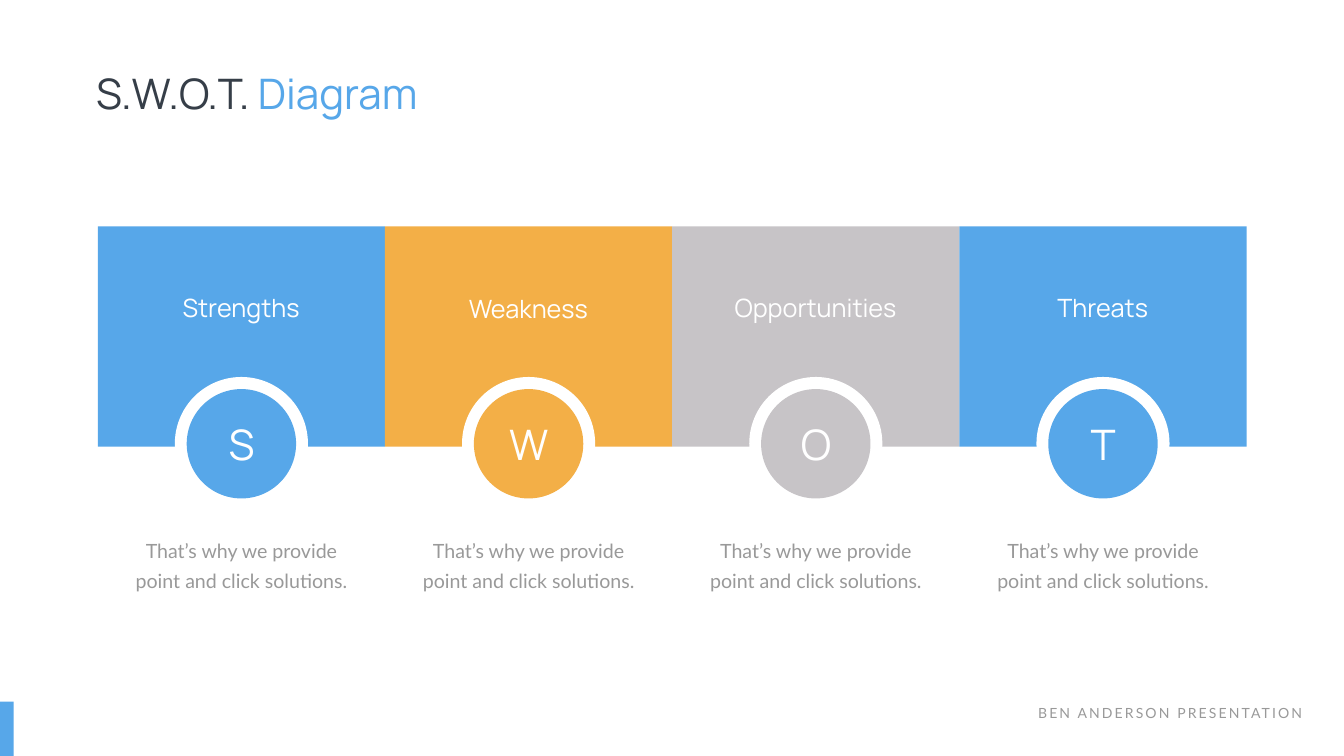
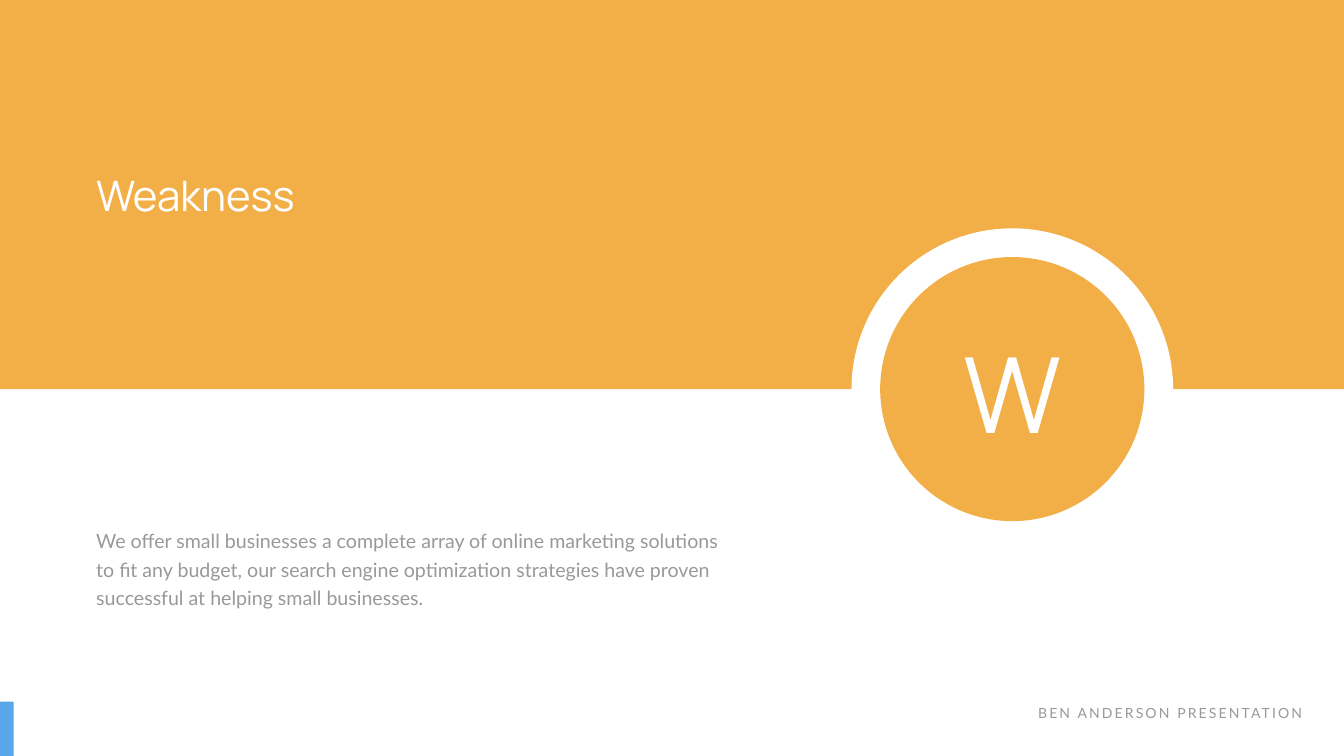
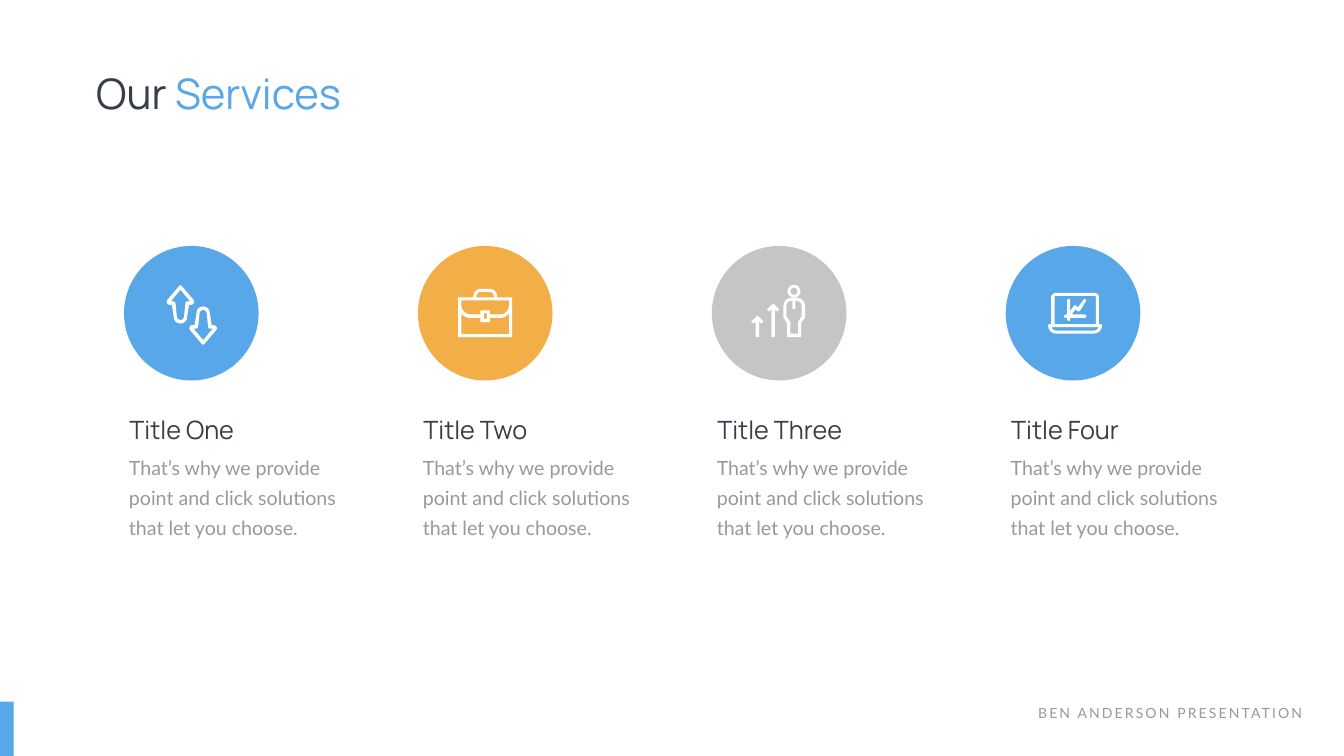
from dataclasses import dataclass

from pptx import Presentation
from pptx import util as u
from pptx.dml.color import RGBColor
from pptx.enum import shapes, text

HUES = {
    "blue": "57A7E9", "amber": "F3AF47", "grey": "C7C4C7",
    "white": "FFFFFF", "dark": "363E48", "body": "999999",
}
CYCLE = ("blue", "amber", "grey", "blue")
WIDE, HIGH = 26.66, 15
RECT, OVAL = shapes.MSO_SHAPE.RECTANGLE, shapes.MSO_SHAPE.OVAL
LEFT, MID, RIGHT = text.PP_ALIGN.LEFT, text.PP_ALIGN.CENTER, text.PP_ALIGN.RIGHT


@dataclass(frozen=True)
class Style:
    font: str
    size: int
    hue: str
    align: text.PP_ALIGN = LEFT
    lead: float = 0
    track: int = 0


HEAD = Style("Manrope", 60, "dark")
COVER = Style("Manrope", 60, "white")
SIGN = Style("Manrope", 60, "white", MID)
GIANT = Style("Manrope", 150, "white", MID)
LABEL = Style("Manrope", 36, "white", MID)
NAME = Style("Manrope", 36, "dark")
NOTE = Style("Lato", 28, "body", MID, 43)
COPY = Style("Lato", 28, "body", LEFT, 43)
STORY = Style("Lato", 28, "body", LEFT, 40.8)
FOOT = Style("Lato", 20, "body", RIGHT, track=300)


@dataclass(frozen=True)
class Card:
    label: str
    hue: str
    sink: float = 0


@dataclass(frozen=True)
class Icon:
    """Outline in hundredths of an inch: pairs are points, sixes are curves."""
    left: float
    top: float
    loops: tuple


# Icon outlines
ARROW = (
    ((42, 32), (40, 32, 38, 33, 38, 35), (35, 63), (34, 67, 31, 69, 28, 69),
     (25, 69, 22, 67, 21, 63), (18, 35), (17, 33, 16, 32, 14, 32), (9, 32),
     (28, 9), (47, 32)),
    ((55, 35), (56, 33, 55, 30, 54, 29), (31, 2), (30, 1, 29, 0, 28, 0),
     (27, 0, 26, 1, 25, 2), (2, 29), (1, 30, 0, 33, 1, 35),
     (2, 37, 4, 39, 7, 39), (11, 39), (15, 64), (15, 71, 21, 76, 28, 76),
     (35, 76, 41, 71, 41, 64), (45, 39), (49, 39), (51, 39, 53, 37, 55, 35)),
)
CASE = (
    ((83, 51), (63, 51), (63, 43), (44, 43), (44, 51), (25, 51),
     (15, 51, 6, 43, 6, 33), (6, 23), (101, 23), (101, 33),
     (101, 43, 93, 51, 83, 51)),
    ((51, 49), (57, 49), (57, 60), (51, 60)),
    ((101, 90), (6, 90), (6, 49), (11, 55, 17, 58, 25, 58), (44, 58), (44, 66),
     (63, 66), (63, 58), (83, 58), (90, 58, 96, 55, 101, 49)),
    ((36, 15), (36, 10, 40, 6, 45, 6), (62, 6), (67, 6, 71, 10, 71, 15),
     (71, 17), (36, 17)),
    ((77, 17), (77, 15), (77, 7, 71, 0, 62, 0), (45, 0), (36, 0, 30, 7, 30, 15),
     (30, 17), (0, 17), (0, 96), (107, 96), (107, 17)),
)
TORSO = (
    ((36, 37), (29, 48), (29, 71), (14, 71), (14, 48), (6, 37), (6, 16),
     (6, 10, 10, 6, 15, 6), (18, 6), (18, 22), (24, 22), (24, 6), (27, 6),
     (32, 6, 36, 10, 36, 16)),
    ((27, 0), (15, 0), (7, 0, 0, 7, 0, 16), (0, 39), (7, 50), (7, 78), (35, 78),
     (35, 50), (43, 39), (43, 16), (43, 7, 36, 0, 27, 0)),
)
FACE = (
    ((13, 6), (17, 6, 20, 9, 20, 13), (20, 17, 17, 20, 13, 20),
     (9, 20, 6, 17, 6, 13), (6, 9, 9, 6, 13, 6)),
    ((13, 26), (20, 26, 26, 20, 26, 13), (26, 6, 20, 0, 13, 0),
     (6, 0, 0, 6, 0, 13), (0, 20, 6, 26, 13, 26)),
)
LAPTOP = (
    ((91, 75), (16, 75), (12, 75, 8, 72, 7, 68), (100, 68),
     (99, 72, 95, 75, 91, 75)),
    ((13, 9), (13, 7, 14, 6, 16, 6), (91, 6), (93, 6, 95, 7, 95, 9), (95, 62),
     (13, 62)),
    ((104, 62), (101, 62), (101, 9), (101, 4, 97, 0, 91, 0), (16, 0),
     (11, 0, 6, 4, 6, 9), (6, 62), (3, 62), (2, 62, 0, 64, 0, 65),
     (0, 74, 7, 81, 16, 81), (91, 81), (100, 81, 107, 74, 107, 65),
     (107, 64, 106, 62, 104, 62)),
)
GRAPH = (
    ((26, 24), (26, 25, 27, 25, 28, 25), (29, 25, 30, 25, 31, 24), (43, 5),
     (44, 4, 44, 2, 42, 1), (41, 0, 39, 0, 38, 2), (27, 17), (24, 14),
     (23, 13, 22, 13, 21, 13), (20, 13, 20, 13, 19, 14), (12, 24), (12, 3),
     (12, 2, 11, 0, 9, 0), (8, 0, 6, 2, 6, 3), (6, 31), (3, 31),
     (1, 31, 0, 33, 0, 35), (0, 36, 1, 38, 3, 38), (6, 38), (6, 41),
     (6, 43, 8, 44, 9, 44), (11, 44, 12, 43, 12, 41), (12, 38), (40, 38),
     (42, 38, 44, 36, 44, 35), (44, 33, 42, 31, 40, 31), (15, 31), (22, 21)),
)


def riser(high: int) -> tuple:
    return (((0, 12), (5, 16), (9, 12), (9, high), (16, high), (16, 12),
             (20, 16), (25, 12), (13, 0)),)


def invert(loops: tuple, high: int) -> tuple:
    return tuple(
        tuple(tuple(high - n if i % 2 else n for i, n in enumerate(seg))
              for seg in loop)
        for loop in loops)


ICONS = (
    Icon(3.3, 5.66, ARROW), Icon(3.75, 6.08, invert(ARROW, 76)),
    Icon(9.09, 5.73, CASE),
    Icon(15.54, 5.91, TORSO), Icon(15.62, 5.65, FACE),
    Icon(15.21, 6.02, riser(67)), Icon(14.9, 6.26, riser(43)),
    Icon(20.79, 5.81, LAPTOP), Icon(21.11, 5.93, GRAPH),
)


# Drawing helpers
def tint(hue: str) -> RGBColor:
    return RGBColor.from_string(HUES[hue])


def paint(shape, hue: str) -> None:
    shape.shadow.inherit = False
    shape.fill.solid()
    shape.fill.fore_color.rgb = tint(hue)
    shape.line.fill.background()


def block(slide, kind, left: float, top: float, wide: float, high: float,
          hue: str) -> None:
    box = map(u.Inches, (left, top, wide, high))
    paint(slide.shapes.add_shape(kind, *box), hue)


def disc(slide, mid: float, top: float, size: float, hue: str) -> None:
    block(slide, OVAL, mid - size / 2, top, size, size, hue)


def write(slide, words: str, left: float, top: float, wide: float, high: float,
          style: Style, accent: str = "") -> None:
    """Add one text box; the accent follows the words in blue."""
    box = slide.shapes.add_textbox(*map(u.Inches, (left, top, wide, high)))
    frame = box.text_frame
    frame.word_wrap = True
    frame.vertical_anchor = text.MSO_ANCHOR.MIDDLE
    frame.text = words
    para = frame.paragraphs[0]
    para.alignment = style.align
    if style.lead:
        para.line_spacing = u.Pt(style.lead)
    if accent:
        para.add_run().text = accent
    for run, hue in zip(para.runs, (style.hue, "blue")):
        run.font.name = style.font
        run.font.size = u.Pt(style.size)
        run.font.color.rgb = tint(hue)
        if style.track:
            run.font._element.set("spc", str(style.track))


def trace(loop: tuple) -> list:
    """Turn a loop into points, cutting each curve into short lines."""
    pts = [loop[0]]
    for seg in loop[1:]:
        if len(seg) == 2:
            pts.append(seg)
            continue
        knots = (pts[-1], seg[:2], seg[2:4], seg[4:])
        for t in (0.25, 0.5, 0.75, 1):
            pull = ((1 - t) ** 3, 3 * t * (1 - t) ** 2,
                    3 * t * t * (1 - t), t ** 3)
            pts.append(tuple(sum(p * k[axis] for p, k in zip(pull, knots))
                             for axis in (0, 1)))
    return pts


def sketch(slide, icon: Icon) -> None:
    pen = None
    for loop in icon.loops:
        pts = [(u.Inches(icon.left + x / 100), u.Inches(icon.top + y / 100))
               for x, y in trace(loop)]
        if pen is None:
            pen = slide.shapes.build_freeform(*pts[0])
        else:
            pen.move_to(*pts[0])
        pen.add_line_segments(pts[1:], close=True)
    paint(pen.convert_to_shape(), "white")


def start(deck):
    return deck.slides.add_slide(deck.slide_layouts[6])


def title(slide, words: str, accent: str) -> None:
    write(slide, words, 1.81, 1.28, 14.34, 1.11, HEAD, accent)


def footer(slide) -> None:
    write(slide, "BEN ANDERSON PRESENTATION", 20.08, 13.92, 5.85, 0.44, FOOT)
    block(slide, RECT, 0, 13.92, 0.27, 1.08, "blue")


# Slides
def swot(deck) -> None:
    slide = start(deck)
    title(slide, "S.W.O.T. ", "Diagram")
    footer(slide)
    names = ("Strengths", "Weakness", "Opportunities", "Threats")
    sinks = (0, 0.02, 0, 0)
    cards = [Card(*row) for row in zip(names, CYCLE, sinks)]
    step = 5.697
    for i, card in enumerate(cards):
        left = 1.94 + i * step
        mid = left + step / 2
        block(slide, RECT, left, 4.49, step, 4.37, card.hue)
        disc(slide, mid, 7.48, 2.64, "white")
        disc(slide, mid, 7.72, 2.17, card.hue)
        write(slide, card.label, mid - 2.07, 5.73 + card.sink, 4.13, 0.72, LABEL)
        write(slide, card.label[0], mid - 0.75, 8.24, 1.51, 1.13, SIGN)
        write(slide, "That’s why we provide point and click solutions.",
              mid - 2.3, 10.53, 4.6, 1.25, NOTE)


def weakness(deck) -> None:
    slide = start(deck)
    block(slide, RECT, 0, 0, WIDE, 7.72, "amber")
    mid = 20.08
    disc(slide, mid, 4.53, 6.38, "white")
    disc(slide, mid, 5.1, 5.24, "amber")
    write(slide, "W", mid - 1.82, 6.45, 3.64, 2.63, GIANT)
    write(slide, "We offer small businesses a complete array of online marketing "
          "solutions to fit any budget, our search engine optimization "
          "strategies have proven successful at helping small businesses.",
          1.81, 10.36, 12.71, 1.77, STORY)
    footer(slide)
    write(slide, "Weakness", 1.81, 3.3, 5.32, 1.11, COVER)


def services(deck) -> None:
    slide = start(deck)
    title(slide, "Our ", "Services")
    footer(slide)
    names = ("Title One", "Title Two", "Title Three", "Title Four")
    for i, card in enumerate(map(Card, names, CYCLE)):
        left = 2.46 + i * 5.83
        block(slide, OVAL, left, 4.88, 2.67, 2.67, card.hue)
        write(slide, "That’s why we provide point and click solutions "
              "that let you choose.", left, 8.88, 4.61, 1.85, COPY)
        write(slide, card.label, left + 0.01, 8.16, 3.66, 0.71, NAME)
    for icon in ICONS:
        sketch(slide, icon)


def main() -> None:
    deck = Presentation()
    deck.slide_width, deck.slide_height = u.Inches(WIDE), u.Inches(HIGH)
    swot(deck)
    weakness(deck)
    services(deck)
    deck.save("out.pptx")


if __name__ == "__main__":
    main()
